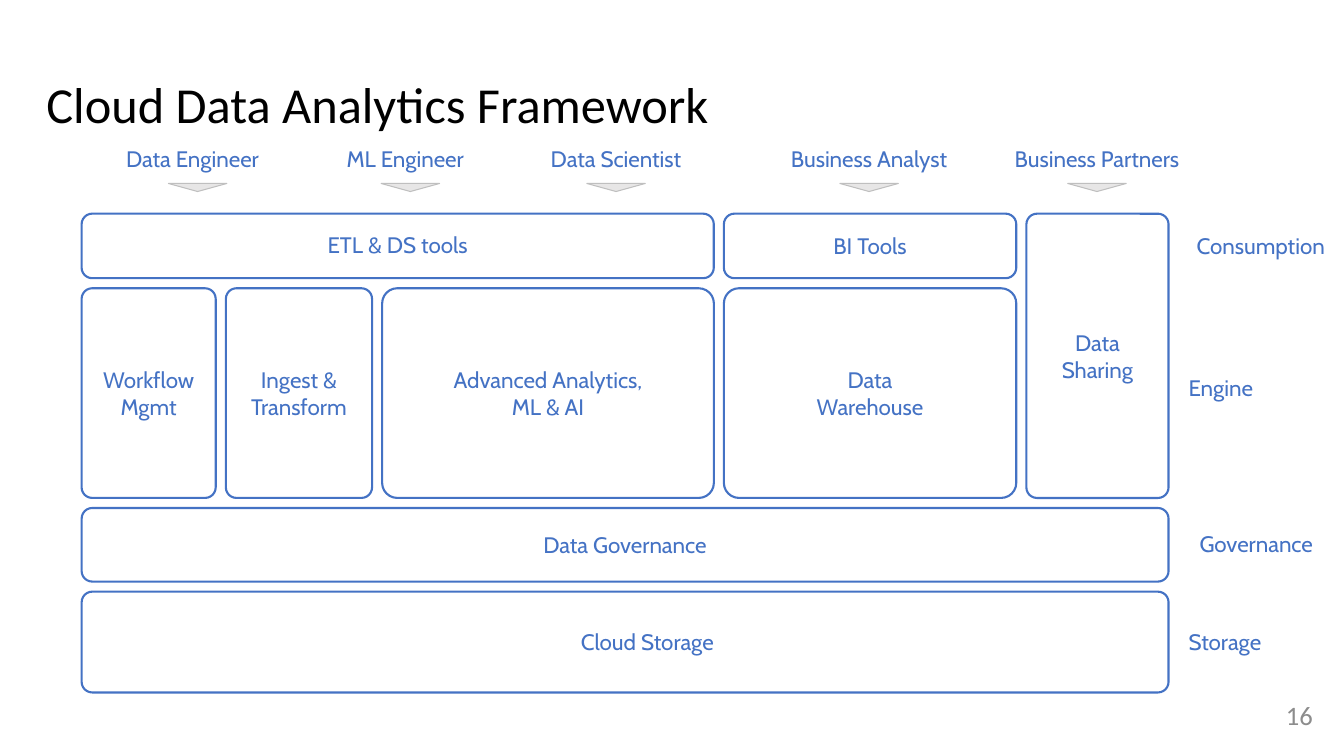
"""Build the Cloud Data Analytics Framework slide."""
from pptx import Presentation, util as u
from pptx.dml.color import RGBColor
from pptx.enum import shapes, text

BLUE = "4472C4"
GAP = 0.1
COLUMNS = [0.81, 2.24, 3.79, 7.18, 10.18, 11.69]
ROWS = [2.12, 2.86, 5.04, 5.87, 6.97]
LEFT, CENTER, RIGHT = text.PP_ALIGN.LEFT, text.PP_ALIGN.CENTER, text.PP_ALIGN.RIGHT
MIDDLE, TOP = text.MSO_ANCHOR.MIDDLE, text.MSO_ANCHOR.TOP


def color(value):
    return RGBColor.from_string(value)


def write(shape, content, size=16, font="Cabin", ink=BLUE, align=CENTER,
          anchor=MIDDLE, insets=(0.1, 0.1, 0.1, 0.1), spacing=None):
    frame = shape.text_frame
    frame.word_wrap = True
    frame.vertical_anchor = anchor
    (frame.margin_left, frame.margin_top,
     frame.margin_right, frame.margin_bottom) = map(u.Inches, insets)
    paragraph = frame.paragraphs[0]
    paragraph.alignment = align
    if spacing:
        paragraph.line_spacing = spacing
    for index, line in enumerate(content.split("\n")):
        if index:
            paragraph.add_line_break()
        run = paragraph.add_run()
        run.text = line
        run.font.size = u.Pt(size)
        run.font.name = font
        run.font.color.rgb = color(ink)


presentation = Presentation()
presentation.slide_width = u.Inches(13.33)
presentation.slide_height = u.Inches(7.5)
slide = presentation.slides.add_slide(presentation.slide_layouts[6])

title = slide.shapes.add_textbox(*map(u.Inches, (0.46, 0.65, 12.42, 0.83)))
write(title, "Cloud Data Analytics Framework", size=36, font="Calibri", ink="000000",
      align=LEFT, insets=(0, 0, 0, 0), spacing=0.9)

page_number = slide.shapes.add_textbox(*map(u.Inches, (12.35, 6.8, 0.8, 0.57)))
write(page_number, "16", size=19, font="Calibri", ink="8C8C8C", align=RIGHT,
      anchor=TOP, insets=(0.13, 0.13, 0.13, 0.13))

# label, first column, end column, first row, end row, corner radius, side insets, spacing
blocks = [
    ("ETL & DS tools", 0, 3, 0, 1, 0.105, (0.1, 0.1), 0.9),
    ("BI Tools", 3, 4, 0, 1, 0.105, (0.1, 0.1), None),
    ("Workflow\nMgmt", 0, 1, 1, 2, 0.105, (0, 0), None),
    ("Ingest & Transform", 1, 2, 1, 2, 0.105, (0.1, 0.1), None),
    ("Advanced Analytics,\nML & AI", 2, 3, 1, 2, 0.15, (0.1, 0.1), None),
    ("Data\nWarehouse", 3, 4, 1, 2, 0.15, (0.1, 0.1), None),
    ("Data Sharing", 4, 5, 0, 2, 0.105, (0.1, 0.1), None),
    ("Data Governance", 0, 5, 2, 3, 0.105, (0, 0), None),
    ("Cloud Storage", 0, 5, 3, 4, 0.105, (0.54, 0.1), None),
]
for label, first, end, top, bottom, radius, (inset_left, inset_right), spacing in blocks:
    width = COLUMNS[end] - COLUMNS[first] - GAP
    height = ROWS[bottom] - ROWS[top] - GAP
    block = slide.shapes.add_shape(
        shapes.MSO_SHAPE.ROUNDED_RECTANGLE,
        *map(u.Inches, (COLUMNS[first], ROWS[top], width, height)))
    block.adjustments[0] = radius / min(width, height)
    block.shadow.inherit = False
    block.fill.solid()
    block.fill.fore_color.rgb = color("FFFFFF")
    block.line.color.rgb = color(BLUE)
    block.line.width = u.Pt(1.5)
    write(block, label, insets=(inset_left, 0.1, inset_right, 0.1), spacing=spacing)

layers = [
    ("Consumption", 2.44, 1.63, CENTER),
    ("Engine", 3.84, 1.15, LEFT),
    ("Governance", 5.39, 1.54, CENTER),
    ("Storage", 6.36, 1.22, LEFT),
]
for label, middle, width, align in layers:
    layer = slide.shapes.add_textbox(
        *map(u.Inches, (COLUMNS[-1], middle - 0.31, width, 0.62)))
    write(layer, label, align=align)

personas = [
    ("Data Engineer", 1.96, 1.77, 0.2),
    ("ML Engineer", 4.07, 1.77, 0.2),
    ("Data Scientist", 6.11, 1.77, 0.1),
    ("Business Analyst", 8.62, 2.06, 0.1),
    ("Business Partners", 10.88, 2.11, 0.1),
]
for label, center, width, inset_right in personas:
    persona = slide.shapes.add_textbox(
        *map(u.Inches, (center - width / 2, 1.37, width, 0.4)))
    write(persona, label, insets=(0.1, 0.1, inset_right, 0.1))
    arrow = slide.shapes.add_shape(
        shapes.MSO_SHAPE.DOWN_ARROW, *map(u.Inches, (center - 0.29, 1.82, 0.58, 0.08)))
    arrow.adjustments[0] = 0.5
    arrow.adjustments[1] = 1
    arrow.shadow.inherit = False
    arrow.fill.solid()
    arrow.fill.fore_color.rgb = color("E7E6E6")
    arrow.line.color.rgb = color("BFBFBF")
    arrow.line.width = u.Pt(0.75)

presentation.save("out.pptx")
